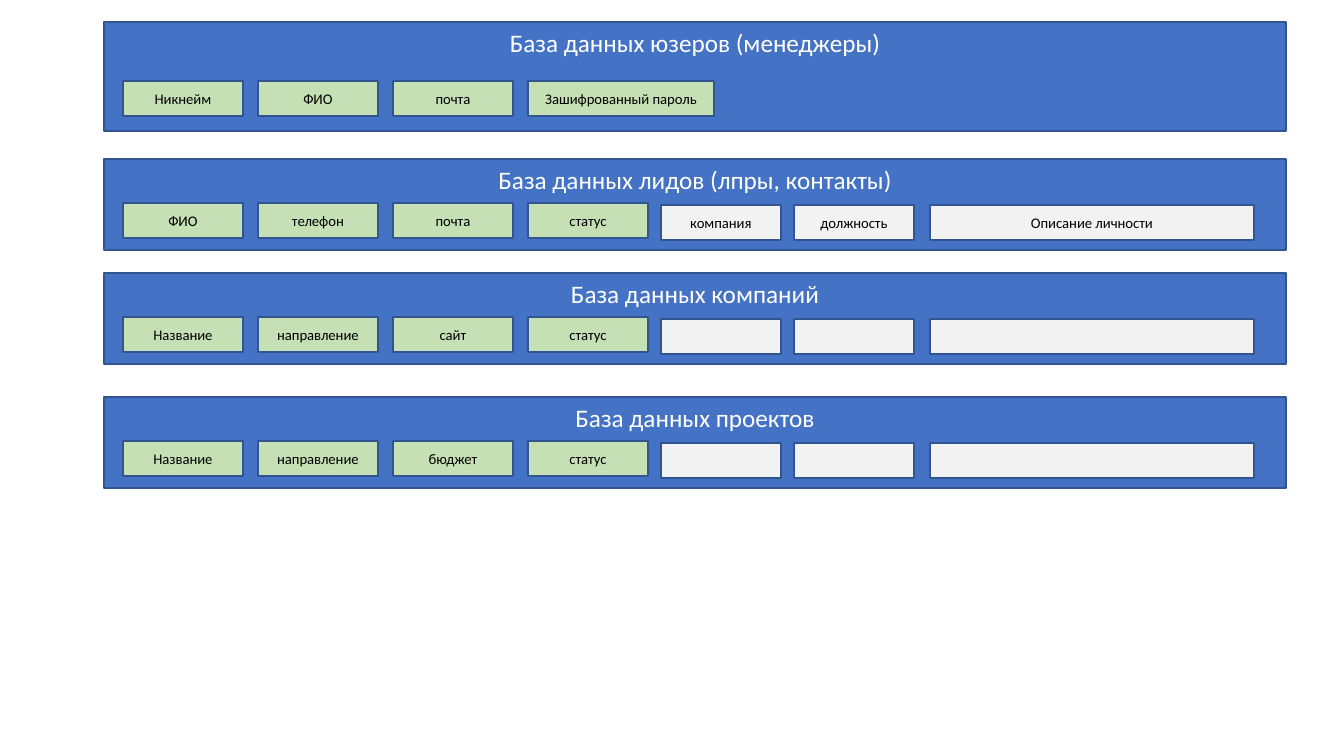
from pptx import Presentation
from pptx.dml.color import RGBColor
from pptx.enum.shapes import MSO_SHAPE
from pptx.enum.text import MSO_ANCHOR, PP_ALIGN
from pptx.util import Emu, Pt

# title, top, height, field offset, required fields, optional fields
DATABASES = [
    ("База данных юзеров (менеджеры)", 22, 109, 59,
     ["Никнейм", "ФИО", "почта", "Зашифрованный пароль"], []),
    ("База данных лидов (лпры, контакты)", 159, 91, 44,
     ["ФИО", "телефон", "почта", "статус"],
     ["компания", "должность", "Описание личности"]),
    ("База данных компаний", 273, 91, 44,
     ["Название", "направление", "сайт", "статус"], ["", "", ""]),
    ("База данных проектов", 397, 91, 44,
     ["Название", "направление", "бюджет", "статус"], ["", "", ""]),
]
COLORS = {
    "panel": "4472C4", "outline": "325491", "required": "C5E0B4",
    "optional": "F2F2F2", "title": "FFFFFF", "field": "000000",
}
FONT = "Calibri"
PANEL_LEFT, PANEL_WIDTH = 104, 1182
FIELD_LEFT, FIELD_STEP, FIELD_WIDTH, FIELD_HEIGHT = 123, 135, 120, 35
WIDE_FIELDS = {"Зашифрованный пароль": 186}
OPTIONAL_SLOTS = [(661, 120), (794, 120), (930, 324)]  # left, width
OPTIONAL_DROP = 2


def px(length):
    return Emu(round(length * 914400 / 100.8))


def color(name):
    return RGBColor.from_string(COLORS[name])


def add_box(slide, bounds, fill, text, text_color, size, anchor):
    shape = slide.shapes.add_shape(MSO_SHAPE.RECTANGLE, *map(px, bounds))
    shape.shadow.inherit = False
    shape.fill.solid()
    shape.fill.fore_color.rgb = color(fill)
    shape.line.color.rgb = color("outline")
    shape.line.width = Pt(1)
    if not text:
        return
    text_frame = shape.text_frame
    text_frame.text = text
    text_frame.word_wrap = True
    text_frame.vertical_anchor = anchor
    paragraph = text_frame.paragraphs[0]
    paragraph.alignment = PP_ALIGN.CENTER
    font = paragraph.runs[0].font
    font.name = FONT
    font.size = Pt(size)
    font.color.rgb = color(text_color)


def add_field(slide, left, top, width, fill, text):
    add_box(slide, (left, top, width, FIELD_HEIGHT), fill, text,
            "field", 10.5, MSO_ANCHOR.MIDDLE)


def add_database(slide, title, top, height, field_offset, required, optional):
    add_box(slide, (PANEL_LEFT, top, PANEL_WIDTH, height), "panel", title,
            "title", 18, MSO_ANCHOR.TOP)
    field_top = top + field_offset
    for index, text in enumerate(required):
        add_field(slide, FIELD_LEFT + index * FIELD_STEP, field_top,
                  WIDE_FIELDS.get(text, FIELD_WIDTH), "required", text)
    for (left, width), text in zip(OPTIONAL_SLOTS, optional):
        add_field(slide, left, field_top + OPTIONAL_DROP, width, "optional", text)


def main():
    presentation = Presentation()
    presentation.slide_width = px(1344)
    presentation.slide_height = px(756)
    slide = presentation.slides.add_slide(presentation.slide_layouts[6])
    for database in DATABASES:
        add_database(slide, *database)
    presentation.save("out.pptx")


if __name__ == "__main__":
    main()
